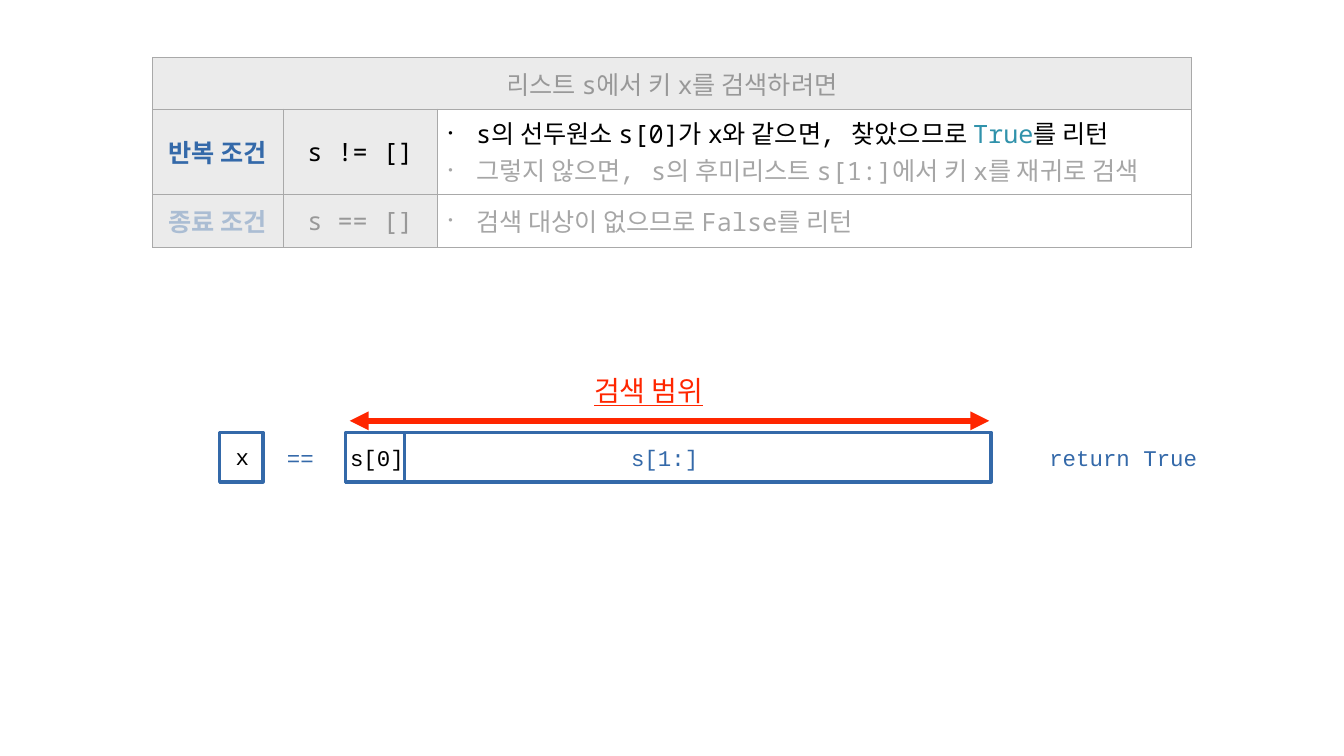
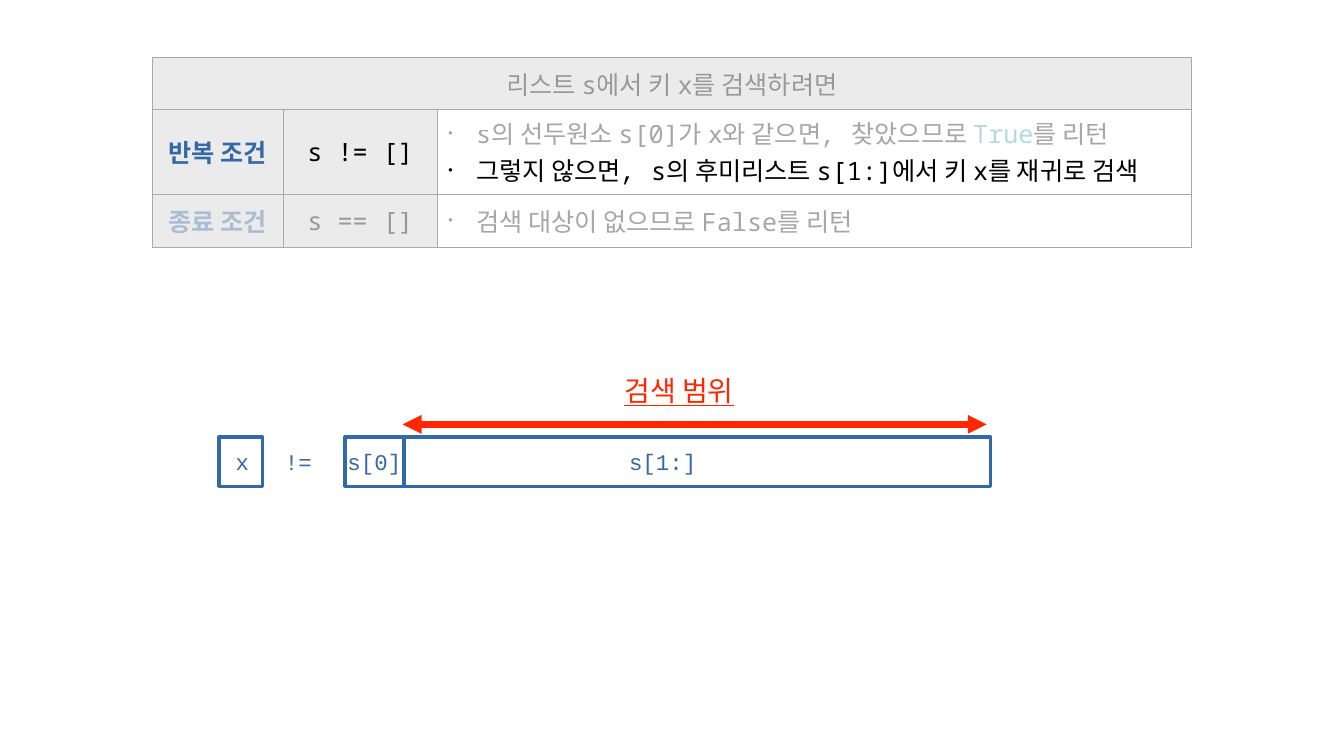
from dataclasses import dataclass

from lxml import etree
from pptx import Presentation
from pptx.dml.color import RGBColor
from pptx.enum.shapes import MSO_CONNECTOR, MSO_SHAPE
from pptx.enum.text import MSO_ANCHOR, MSO_AUTO_SIZE, PP_ALIGN
from pptx.oxml.ns import qn
from pptx.util import Inches, Pt

RECT, STRAIGHT = MSO_SHAPE.RECTANGLE, MSO_CONNECTOR.STRAIGHT
MIDDLE, CENTER = MSO_ANCHOR.MIDDLE, PP_ALIGN.CENTER
FIT_SHAPE = MSO_AUTO_SIZE.SHAPE_TO_FIT_TEXT

# Shared look
BLUE, TEAL, RED = "3469A9", "3092AB", "FF2600"
BLACK, GREY, PALE = "000000", "A9A9A9", "EBEBEB"
SANS, MONO, CODE = "Arial", "Courier New", "Noto Sans Mono"
FADED = 34  # opacity in percent

# Table grid
COLS = (2.59, 3.06, 14.96)
ROWS = (1.02, 1.69, 1.05)

# Cell wording: pieces between bars alternate between prose and code
HEADING = "리스트 |s|에서 키 |x|를 검색하려면"
FOUND = "|s|의 선두원소 |s[0]|가 |x|와 같으면, 찾았으므로 |True|를 리턴"
RECURSE = "그렇지 않으면, |s|의 후미리스트 |s[1:]|에서 키 |x|를 재귀로 검색"
EMPTY = "검색 대상이 없으므로 |False|를 리턴"


@dataclass
class Label:
    text: str
    left: float
    top: float
    width: float
    color: str = BLUE
    size: int = 32
    height: float = 0.72
    font: str = MONO
    underline: bool = False
    wrap: bool = False


@dataclass
class Step:
    active: int  # index of the highlighted bullet
    box_top: float
    key_left: float
    list_left: float
    arrow: tuple[float, float, float]  # from x, to x, y
    labels: list[Label]


def range_label(left: float) -> Label:
    return Label("검색 범위", left, 7.3, 4.47, RED, 40, 0.89, underline=True, wrap=True)


STEPS = [
    Step(0, 8.58, 4.36, 6.86, (6.94, 19.63, 8.35), [
        range_label(10.64),
        Label("x", 4.59, 8.69, 0.44, BLACK),
        Label("s[0]", 6.86, 8.71, 1.24, BLACK),
        Label("==", 5.61, 8.71, 0.7),
        Label("return True", 20.74, 8.71, 3.1),
        Label("s[1:]", 12.44, 8.71, 1.5),
    ]),
    Step(1, 8.67, 4.35, 6.85, (7.99, 19.58, 8.42), [
        range_label(11.24),
        Label("x", 4.59, 8.8, 0.44),
        Label("s[0]", 6.81, 8.8, 1.24),
        Label("!=", 5.57, 8.8, 0.7),
        Label("s[1:]", 12.4, 8.8, 1.5),
    ]),
]


def rgb(color: str) -> RGBColor:
    return RGBColor.from_string(color)


def add_run(p, text: str, font: str, color: str, size: int, faded: bool = False):
    r = p.add_run()
    r.text = text
    r.font.name, r.font.size = font, Pt(size)
    r.font.color.rgb = rgb(color)
    if faded:
        clr = r._r.rPr.find(qn("a:solidFill")).find(qn("a:srgbClr"))
        etree.SubElement(clr, qn("a:alpha"), val=str(FADED * 1000))
    return r


def add_mixed(p, text: str, faded: bool, prose: str = MONO) -> None:
    for i, piece in enumerate(text.split("|")):
        if piece:
            color = TEAL if piece == "True" else BLACK
            add_run(p, piece, CODE if i % 2 else prose, color, 36, faded)


def set_bullet(p) -> None:
    pPr = p._p.get_or_add_pPr()
    pPr.set("marL", str(Inches(0.71)))
    pPr.set("indent", str(Inches(-0.55)))
    etree.SubElement(pPr, qn("a:buSzPct"), val="50000")
    etree.SubElement(pPr, qn("a:buFont"), typeface=SANS)
    etree.SubElement(pPr, qn("a:buChar"), char="•")


def format_cell(cell, filled: bool) -> None:
    cell.vertical_anchor = MIDDLE
    cell.margin_left = cell.margin_right = Inches(0.06)
    cell.margin_top = cell.margin_bottom = Inches(0.06)
    if filled:
        cell.fill.solid()
        cell.fill.fore_color.rgb = rgb(PALE)
    else:
        cell.fill.background()
    # Borders come before the fill
    tcPr = cell._tc.get_or_add_tcPr()
    for i, side in enumerate(("lnL", "lnR", "lnT", "lnB")):
        ln = etree.Element(qn(f"a:{side}"), w=str(Pt(1)))
        fill = etree.SubElement(ln, qn("a:solidFill"))
        etree.SubElement(fill, qn("a:srgbClr"), val=GREY)
        tcPr.insert(i, ln)


def draw_table(s, active: int) -> None:
    frame = s.shapes.add_table(len(ROWS), len(COLS), Inches(3.03), Inches(1.14),
                               Inches(sum(COLS)), Inches(sum(ROWS)))
    table = frame.table
    table.first_row = table.horz_banding = False
    for column, width in zip(table.columns, COLS):
        column.width = Inches(width)
    for row, height in zip(table.rows, ROWS):
        row.height = Inches(height)
    for i in range(len(ROWS)):
        for j in range(len(COLS)):
            format_cell(table.cell(i, j), i == 0 or j < 2)

    # Heading row
    table.cell(0, 0).merge(table.cell(0, 2))
    p = table.cell(0, 0).text_frame.paragraphs[0]
    p.alignment = CENTER
    add_mixed(p, HEADING, True)

    # Condition names and tests
    for i, (name, test) in enumerate((("반복 조건", "s != []"), ("종료 조건", "s == []")), 1):
        faded = i == 2
        p = table.cell(i, 0).text_frame.paragraphs[0]
        p.alignment = CENTER
        add_run(p, name, SANS, BLUE, 36, faded).font.bold = True
        p = table.cell(i, 1).text_frame.paragraphs[0]
        p.alignment = CENTER
        add_run(p, test, CODE, BLACK, 36, faded)

    # Actions
    tf = table.cell(1, 2).text_frame
    for i, (p, text) in enumerate(zip((tf.paragraphs[0], tf.add_paragraph()), (FOUND, RECURSE))):
        set_bullet(p)
        add_mixed(p, text, i != active)
    p = table.cell(2, 2).text_frame.paragraphs[0]
    set_bullet(p)
    add_mixed(p, EMPTY, True, SANS)


def draw_box(shapes, left: float, top: float, width: float) -> None:
    sp = shapes.add_shape(RECT, Inches(left), Inches(top), Inches(width), Inches(0.98))
    sp.shadow.inherit = False
    sp.fill.background()
    sp.line.color.rgb = rgb(BLUE)
    sp.line.width = Pt(5)


def draw_label(shapes, label: Label) -> None:
    sp = shapes.add_textbox(Inches(label.left), Inches(label.top),
                            Inches(label.width), Inches(label.height))
    tf = sp.text_frame
    tf.word_wrap = label.wrap
    tf.auto_size = FIT_SHAPE
    tf.vertical_anchor = MIDDLE
    tf.margin_left = tf.margin_right = Inches(0.08)
    tf.margin_top = tf.margin_bottom = Inches(0.08)
    p = tf.paragraphs[0]
    p.alignment = CENTER
    r = add_run(p, label.text, label.font, label.color, label.size)
    if label.underline:
        r.font.underline = True


def draw_arrow(shapes, start: float, end: float, y: float) -> None:
    line = shapes.add_connector(STRAIGHT, Inches(start), Inches(y), Inches(end), Inches(y))
    line.line.color.rgb = rgb(RED)
    line.line.width = Pt(9)
    ln = line.line._get_or_add_ln()
    for tag in ("a:headEnd", "a:tailEnd"):
        etree.SubElement(ln, qn(tag), type="triangle")
    etree.SubElement(line._element.spPr, qn("a:effectLst"))


def draw_step(s, step: Step) -> None:
    shapes = s.shapes.add_group_shape().shapes
    # Key, whole list, and its first element
    for left, width in ((step.key_left, 0.86), (step.list_left, 12.81), (step.list_left, 1.17)):
        draw_box(shapes, left, step.box_top, width)
    for label in step.labels:
        draw_label(shapes, label)
    draw_arrow(shapes, *step.arrow)


def main() -> None:
    prs = Presentation()
    prs.slide_width, prs.slide_height = Inches(26.67), Inches(15)
    for step in STEPS:
        s = prs.slides.add_slide(prs.slide_layouts[6])
        draw_table(s, step.active)
        draw_step(s, step)
    prs.save("out.pptx")


if __name__ == "__main__":
    main()
